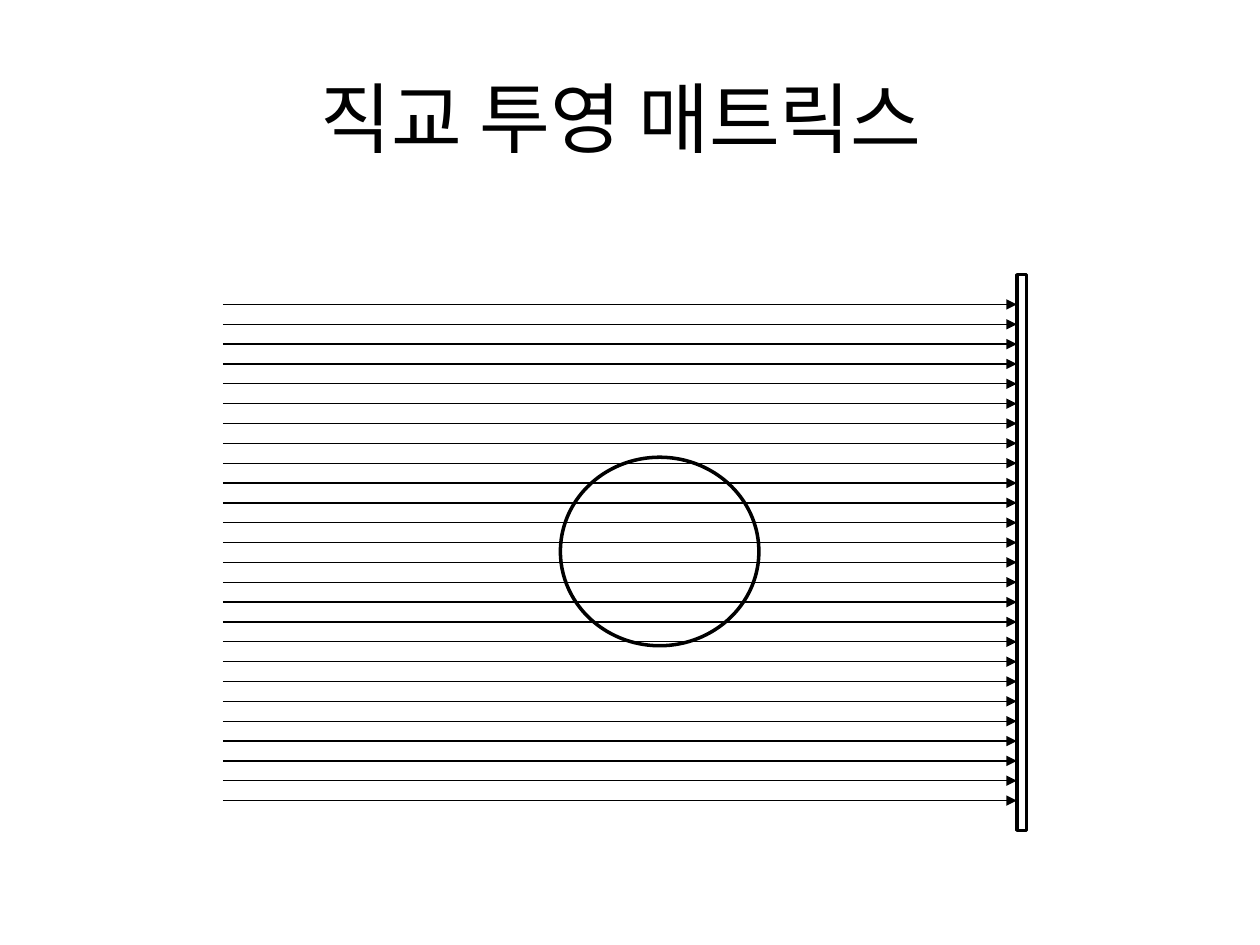
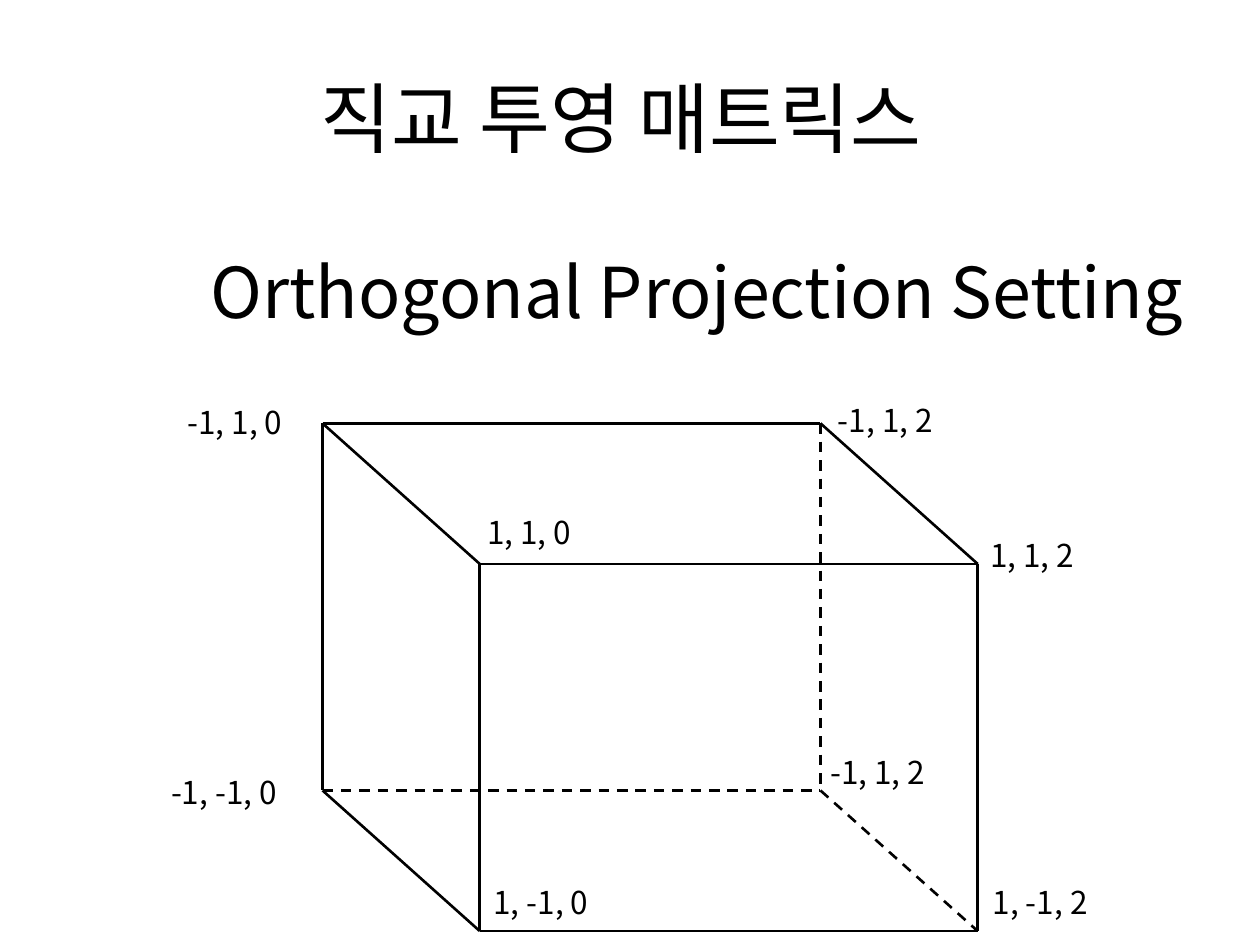
import itertools

import pptx
import pptx.dml.color
import pptx.enum.dml
import pptx.enum.shapes
import pptx.enum.text
import pptx.oxml.ns
import pptx.util
from lxml import etree

FONT = "Noto Sans CJK KR"
INK = "000000"
PAPER = "FFFFFF"
TITLE = "직교 투영 매트릭스 "
WIDE, HIGH = 10, 7.5
ALIGN = pptx.enum.text.PP_ALIGN
ANCHOR = pptx.enum.text.MSO_ANCHOR
SHAPE = pptx.enum.shapes.MSO_SHAPE
inch = pptx.util.Inches


def tint(color, value):
    """Give a colour format a hex value."""
    color.rgb = pptx.dml.color.RGBColor.from_string(value)


def child(node, tag, **attrs):
    """Append a drawing element to an XML node."""
    return etree.SubElement(node, pptx.oxml.ns.qn("a:" + tag), attrs)


def write(slide, box, text, size=18, align=ALIGN.LEFT, anchor=ANCHOR.TOP):
    """Place one line of text in a box."""
    frame = slide.shapes.add_textbox(*map(inch, box)).text_frame
    frame.word_wrap = True
    frame.vertical_anchor = anchor
    para = frame.paragraphs[0]
    para.alignment = align
    run = para.add_run()
    run.text = text
    run.font.size = pptx.util.Pt(size)
    run.font.name = FONT
    tint(run.font.color, INK)
    child(run.font._element, "ea", typeface=FONT)


def draw(slide, kind, box):
    """Place a white shape with a black outline."""
    shape = slide.shapes.add_shape(kind, *map(inch, box))
    shape.shadow.inherit = False
    shape.fill.solid()
    tint(shape.fill.fore_color, PAPER)
    tint(shape.line.color, INK)
    shape.line.width = pptx.util.Pt(2)


def link(shapes, start, end, width, dash=False, arrow=False):
    """Draw a straight line, dashed or with an arrowhead if asked."""
    line = shapes.add_connector(
        pptx.enum.shapes.MSO_CONNECTOR.STRAIGHT, *map(inch, (*start, *end)))
    tint(line.line.color, INK)
    line.line.width = pptx.util.Pt(width)
    if dash:
        line.line.dash_style = pptx.enum.dml.MSO_LINE.DASH
    if arrow:
        child(line.line._get_or_add_ln(), "tailEnd", type="triangle")
    child(line._element.spPr, "effectLst")


def page(deck):
    """Add a blank slide with the shared title."""
    slide = deck.slides.add_slide(deck.slide_layouts[6])
    write(slide, (0.05 * WIDE, 0.04 * HIGH, 0.9 * WIDE, HIGH / 6), TITLE,
          size=44, align=ALIGN.CENTER, anchor=ANCHOR.MIDDLE)
    return slide


def rays(slide, box):
    """Draw parallel rays that pass a ball and meet a wall."""
    left, top, _, high = box
    rows = 28
    step = high / rows
    wall = left + 40 * step
    draw(slide, SHAPE.RECTANGLE, (wall, top, step / 2, high))
    draw(slide, SHAPE.OVAL,
         (left + 17 * step, top + 9.2 * step, 10 * step, 9.5 * step))
    for row in range(1, rows - 1):
        y = top + (row + 0.5) * step
        link(slide.shapes, (left, y), (wall, y), 0.75, arrow=True)


# Corner (right, low, near): its label, and the label's shift in inches
LABELS = {
    (0, 1, 0): ("-1, -1, 0", -1.3, -0.19),
    (0, 0, 0): ("-1, 1, 0", -1.17, -0.21),
    (0, 0, 1): ("1, 1, 0", -0.04, -0.45),
    (0, 1, 1): ("1, -1, 0", 0.01, -0.43),
    (1, 0, 0): ("-1, 1, 2", 0.04, -0.23),
    (1, 0, 1): ("1, 1, 2", 0, -0.27),
    (1, 1, 1): ("1, -1, 2", 0.02, -0.43),
    (1, 1, 0): ("-1, 1, 2", -0.02, -0.35),
}
HIDDEN = (1, 1, 0)


def cube(slide, box):
    """Draw a see-through cuboid with its corners labelled."""
    left, top, wide, high = box
    deep, drop = 0.24 * wide, 0.277 * high
    spots = {
        (right, low, near): (left + right * (wide - deep) + near * deep,
                             top + low * (high - drop) + near * drop)
        for right, low, near in itertools.product((0, 1), repeat=3)}
    group = slide.shapes.add_group_shape()
    for one, two in itertools.combinations(spots, 2):
        if sum(a != b for a, b in zip(one, two)) == 1:
            link(group.shapes, spots[one], spots[two], 1.5,
                 dash=HIDDEN in (one, two))
    for spot, (text, dx, dy) in LABELS.items():
        x, y = spots[spot]
        write(slide, (x + dx, y + dy, 1.54 if spot[0] else 1.14, 0.4), text)


deck = pptx.Presentation()
deck.slide_width, deck.slide_height = inch(WIDE), inch(HIGH)

rays(page(deck), (1.77, 2.18, 6.38, 4.41))

setting = page(deck)
write(setting, (1.39, 1.92, 8.28, 0.77), "Orthogonal Projection Setting",
      size=40, align=ALIGN.CENTER)
cube(setting, (2.56, 3.36, 5.2, 4.03))

deck.save("out.pptx")
